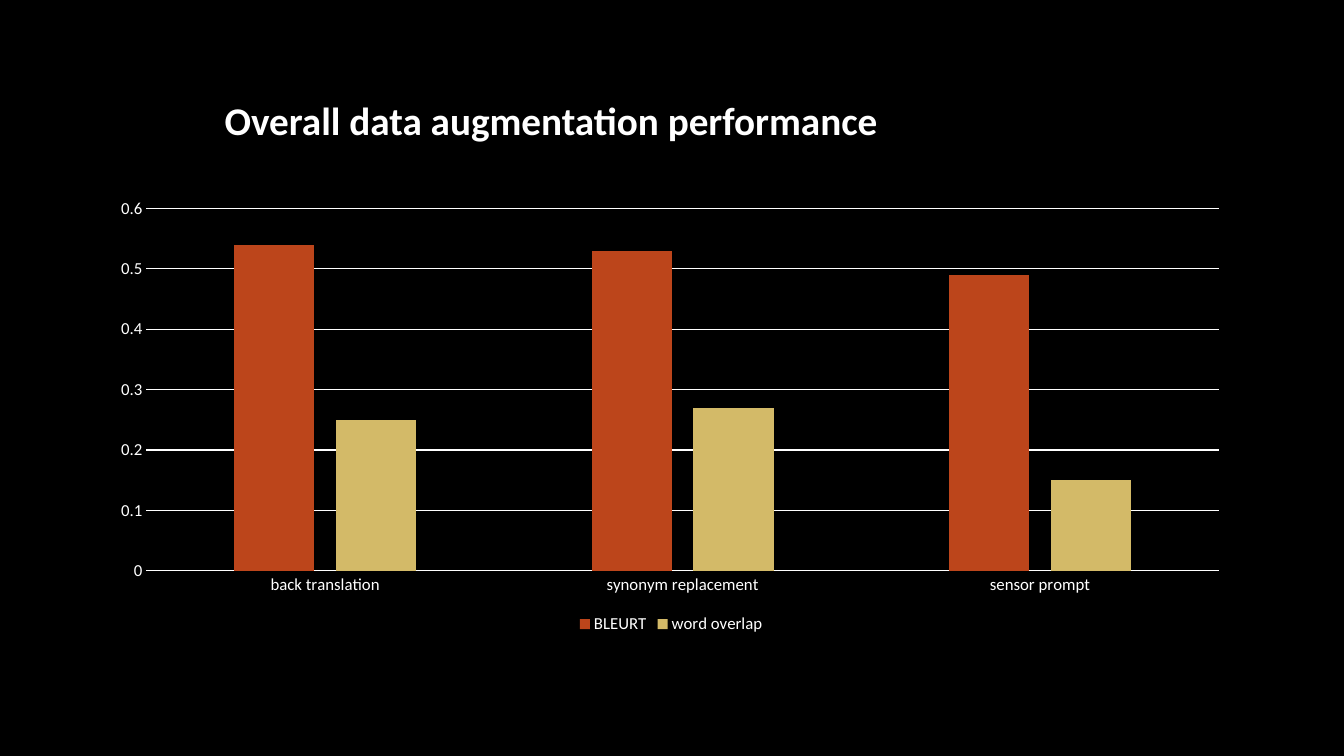
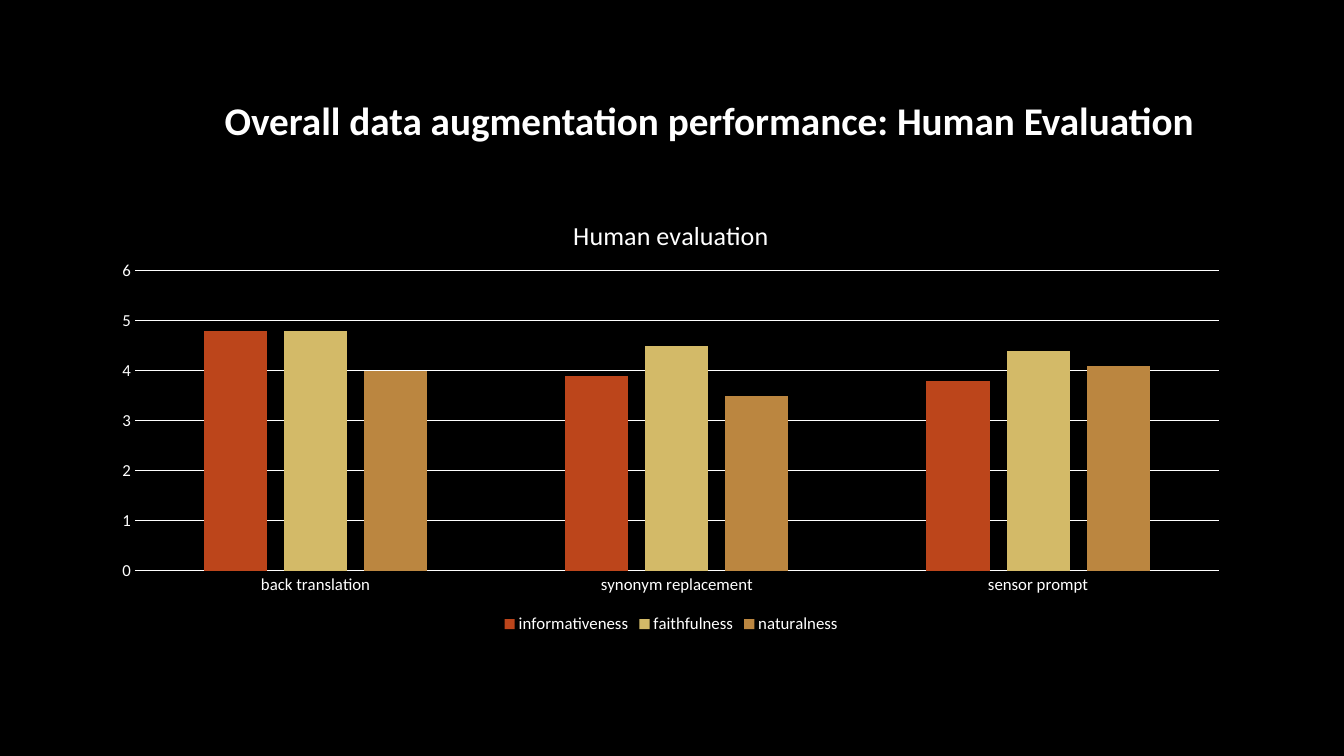
from lxml import etree
from pptx import Presentation
from pptx.chart.data import CategoryChartData
from pptx.dml.color import RGBColor
from pptx.enum.chart import XL_CHART_TYPE, XL_LEGEND_POSITION, XL_TICK_MARK
from pptx.enum.text import MSO_AUTO_SIZE
from pptx.oxml.ns import qn
from pptx.util import Cm, Pt

COLUMNS = XL_CHART_TYPE.COLUMN_CLUSTERED
LEGEND_BOTTOM = XL_LEGEND_POSITION.BOTTOM
NO_TICK = XL_TICK_MARK.NONE
FIT_SHAPE = MSO_AUTO_SIZE.SHAPE_TO_FIT_TEXT

COLORS = {
    "background": "000000",
    "text": "FFFFFF",
    "rust": "BC451B",
    "sand": "D3BA68",
    "bronze": "BB8640",
}
SERIES_COLORS = ("rust", "sand", "bronze")
METHODS = ("back translation", "synonym replacement", "sensor prompt")
PLOT_RIGHT, PLOT_BOTTOM = 0.98, 0.85


def set_layout(parent, fractions, inner=False):
    layout = parent.find(qn("c:layout"))
    if layout is None:
        layout = etree.Element(qn("c:layout"))
        parent.insert(0, layout)
    manual = etree.SubElement(layout, qn("c:manualLayout"))
    settings = {"layoutTarget": "inner"} if inner else {}
    settings.update(xMode="edge", yMode="edge", **fractions)
    for name, value in settings.items():
        etree.SubElement(manual, qn(f"c:{name}")).set("val", str(value))


class Deck:
    def __init__(self):
        self.deck = Presentation()
        self.deck.slide_width = Cm(33.87)
        self.deck.slide_height = Cm(19.05)
        self.page = None

    def color(self, name):
        return RGBColor.from_string(COLORS[name])

    def style_font(self, font, size, bold=False):
        for name, value in {"name": "Calibri", "size": Pt(size), "bold": bold}.items():
            setattr(font, name, value)
        font.color.rgb = self.color("text")

    def style_line(self, line):
        line.color.rgb = self.color("text")
        line.width = Pt(0.75)

    def add_page(self):
        self.page = self.deck.slides.add_slide(self.deck.slide_layouts[6])
        fill = self.page.background.fill
        fill.solid()
        fill.fore_color.rgb = self.color("background")

    def add_title(self, text, width):
        box = self.page.shapes.add_textbox(Cm(5.41), Cm(2.31), Cm(width), Cm(1.45))
        frame = box.text_frame
        for name, value in {"word_wrap": False, "auto_size": FIT_SHAPE}.items():
            setattr(frame, name, value)
        span = frame.paragraphs[0].add_run()
        span.text = text
        self.style_font(span.font, 28, bold=True)

    def add_columns(self, series, maximum, step, left, top, title=None):
        data = CategoryChartData()
        data.categories = METHODS
        for name, values in series.items():
            data.add_series(name, values)
        chart = self.page.shapes.add_chart(
            COLUMNS, Cm(2.54), Cm(4.8), Cm(28.75), Cm(11.28), data
        ).chart
        self.style_font(chart.font, 10)
        self.style_plot(chart, left, top)
        self.style_axes(chart, maximum, step)
        self.style_legend(chart)
        self.style_chart_title(chart, title)

    def style_plot(self, chart, left, top):
        plot = chart.plots[0]
        for name, value in {"gap_width": 219, "overlap": -27, "vary_by_categories": False}.items():
            setattr(plot, name, value)
        for series, color in zip(plot.series, SERIES_COLORS):
            series.format.fill.solid()
            series.format.fill.fore_color.rgb = self.color(color)
        fractions = {
            "x": left,
            "y": top,
            "w": round(PLOT_RIGHT - left, 2),
            "h": round(PLOT_BOTTOM - top, 2),
        }
        set_layout(chart.element.find(f".//{qn('c:plotArea')}"), fractions, inner=True)

    def style_axes(self, chart, maximum, step):
        for axis in (chart.category_axis, chart.value_axis):
            axis.major_tick_mark = axis.minor_tick_mark = NO_TICK
            self.style_font(axis.tick_labels.font, 12)
        self.style_line(chart.category_axis.format.line)
        scale = {
            "minimum_scale": 0,
            "maximum_scale": maximum,
            "major_unit": step,
            "has_major_gridlines": True,
        }
        for name, value in scale.items():
            setattr(chart.value_axis, name, value)
        chart.value_axis.format.line.fill.background()
        self.style_line(chart.value_axis.major_gridlines.format.line)

    def style_legend(self, chart):
        chart.has_legend = True
        for name, value in {"position": LEGEND_BOTTOM, "include_in_layout": False}.items():
            setattr(chart.legend, name, value)
        self.style_font(chart.legend.font, 12)

    def style_chart_title(self, chart, title):
        chart.has_title = title is not None
        if title is None:
            return
        span = chart.chart_title.text_frame.paragraphs[0].add_run()
        span.text = title
        self.style_font(span.font, 18.6)
        set_layout(chart.element.find(f".//{qn('c:title')}"), {"x": 0.41, "y": 0.05})

    def save(self):
        self.deck.save("out.pptx")


def main():
    deck = Deck()

    deck.add_page()
    deck.add_title("Overall data augmentation performance", 17.93)
    deck.add_columns(
        {"BLEURT": (0.54, 0.53, 0.49), "word overlap": (0.25, 0.27, 0.15)},
        maximum=0.6, step=0.1, left=0.04, top=0.04,
    )

    deck.add_page()
    deck.add_title("Overall data augmentation performance: Human Evaluation", 26.82)
    deck.add_columns(
        {
            "informativeness": (4.8, 3.9, 3.8),
            "faithfulness": (4.8, 4.5, 4.4),
            "naturalness": (4, 3.5, 4.1),
        },
        maximum=6, step=1, left=0.03, top=0.18, title="Human evaluation",
    )

    deck.save()


if __name__ == "__main__":
    main()
